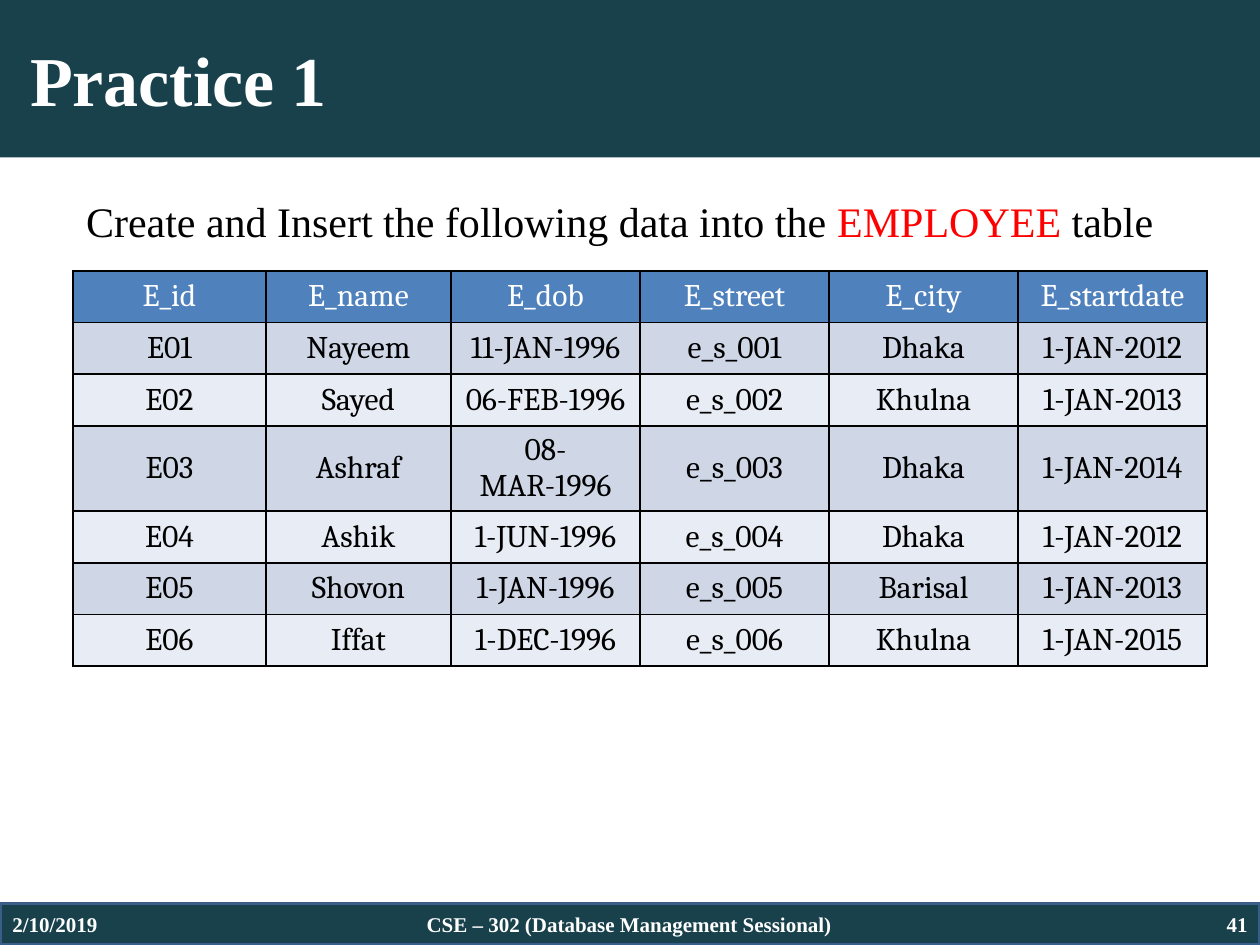
from typing import NamedTuple

from lxml import etree
from pptx import Presentation
from pptx import util as u
from pptx.dml.color import RGBColor
from pptx.enum import shapes, text
from pptx.oxml import ns

WIDE, HIGH = u.Inches(10), u.Inches(7.5)
TEAL, WHITE, BLACK, RED = "18414C", "FFFFFF", "000000", "FF0000"
HEAD, BANDS = "4F81BD", ("CFD7E7", "E8ECF4")
SERIF, CELL = "Times New Roman", "Cambria"
LEFT, MID, RIGHT = text.PP_ALIGN.LEFT, text.PP_ALIGN.CENTER, text.PP_ALIGN.RIGHT
FOOT = 7.17 / 7.5  # top of the footer, as a share of the height

COLS = (1.53, 1.47, 1.5, 1.5, 1.5, 1.5)
ROW = 0.41
STAFF = (
    ("E_id", "E_name", "E_dob", "E_street", "E_city", "E_startdate"),
    ("E01", "Nayeem", "11-JAN-1996", "e_s_001", "Dhaka", "1-JAN-2012"),
    ("E02", "Sayed", "06-FEB-1996", "e_s_002", "Khulna", "1-JAN-2013"),
    ("E03", "Ashraf", "08-MAR-1996", "e_s_003", "Dhaka", "1-JAN-2014"),
    ("E04", "Ashik", "1-JUN-1996", "e_s_004", "Dhaka", "1-JAN-2012"),
    ("E05", "Shovon", "1-JAN-1996", "e_s_005", "Barisal", "1-JAN-2013"),
    ("E06", "Iffat", "1-DEC-1996", "e_s_006", "Khulna", "1-JAN-2015"),
)


class Box(NamedTuple):
    """A frame in shares of the slide's width and height."""
    left: float
    top: float
    width: float
    height: float


class Note(NamedTuple):
    words: str
    box: Box
    align: text.PP_ALIGN


NOTES = (
    Note("41", Box(0.767, FOOT, 0.233, 1 - FOOT), RIGHT),
    Note("2/10/2019", Box(0, FOOT, 0.233, 1 - FOOT), LEFT),
    Note("CSE – 302 (Database Management Sessional)",
         Box(0.283, FOOT, 0.433, 0.043), MID),
)


def rgb(code: str) -> RGBColor:
    return RGBColor.from_string(code)


def span(box: Box) -> tuple:
    return tuple(u.Emu(int(part * side))
                 for part, side in zip(box, (WIDE, HIGH) * 2))


def style(item, values: dict) -> None:
    for name, value in values.items():
        setattr(item, name, value)


def paint(item, code: str) -> None:
    item.fill.solid()
    item.fill.fore_color.rgb = rgb(code)


def write(para, words: str, size: float, code: str,
          face: str = SERIF, bold: bool = False) -> None:
    run = para.add_run()
    run.text = words
    style(run.font, {"name": face, "size": u.Pt(size), "bold": bold})
    run.font.color.rgb = rgb(code)


def place(shape, box: Box, anchor: text.MSO_ANCHOR):
    """Move a text shape, and return its first paragraph."""
    style(shape, dict(zip(("left", "top", "width", "height"), span(box))))
    frame = shape.text_frame
    style(frame, {"word_wrap": True, "vertical_anchor": anchor,
                  "auto_size": text.MSO_AUTO_SIZE.NONE})
    return frame.paragraphs[0]


def edge(cell) -> None:
    """Rule all four sides of a cell."""
    props = cell._tc.get_or_add_tcPr()
    for side in ("a:lnL", "a:lnR", "a:lnT", "a:lnB"):
        line = etree.SubElement(props, ns.qn(side), w=str(u.Pt(1)))
        fill = etree.SubElement(line, ns.qn("a:solidFill"))
        etree.SubElement(fill, ns.qn("a:srgbClr"), val=BLACK)


def title(shape) -> None:
    paint(shape, TEAL)
    para = place(shape, Box(0, 0, 1, 1 / 6), text.MSO_ANCHOR.MIDDLE)
    para.alignment = LEFT
    write(para, " Practice 1", 40, WHITE, bold=True)


def task(shape) -> None:
    para = place(shape, Box(0.05, 0.2, 0.9, 0.66), text.MSO_ANCHOR.TOP)
    para.space_before = u.Pt(0)
    props = para._p.get_or_add_pPr()
    etree.SubElement(props, ns.qn("a:buNone"))
    for words, code in ((" Create and Insert the following data into the ", BLACK),
                        ("EMPLOYEE", RED), (" table", BLACK)):
        write(para, words, 24, code)


def footer(slide) -> None:
    bar = slide.shapes.add_shape(shapes.MSO_SHAPE.RECTANGLE,
                                 *span(Box(0, FOOT, 1, 1 - FOOT)))
    bar.shadow.inherit = False
    paint(bar, TEAL)
    bar.line.color.rgb = rgb("395E89")
    bar.line.width = u.Pt(2)
    for note in NOTES:
        para = place(slide.shapes.add_textbox(0, 0, 0, 0), note.box,
                     text.MSO_ANCHOR.MIDDLE)
        para.alignment = note.align
        write(para, note.words, 12, WHITE, bold=True)


def grid(slide) -> None:
    table = slide.shapes.add_table(
        len(STAFF), len(COLS), u.Inches(0.58), u.Inches(2.15),
        u.Inches(sum(COLS)), u.Inches(ROW * len(STAFF))).table
    for col, width in zip(table.columns, COLS):
        col.width = u.Inches(width)
    for r, record in enumerate(STAFF):
        table.rows[r].height = u.Inches(ROW)
        for c, words in enumerate(record):
            cell = table.cell(r, c)
            edge(cell)
            paint(cell, BANDS[(r - 1) % 2] if r else HEAD)
            cell.vertical_anchor = text.MSO_ANCHOR.MIDDLE
            para = cell.text_frame.paragraphs[0]
            para.alignment = MID
            write(para, words, 18, BLACK if r else WHITE, CELL)


def main() -> None:
    deck = Presentation()
    style(deck, {"slide_width": WIDE, "slide_height": HIGH})
    slide = deck.slides.add_slide(deck.slide_layouts[1])
    title(slide.shapes.title)
    task(slide.placeholders[1])
    footer(slide)
    grid(slide)
    deck.save("out.pptx")


if __name__ == "__main__":
    main()
